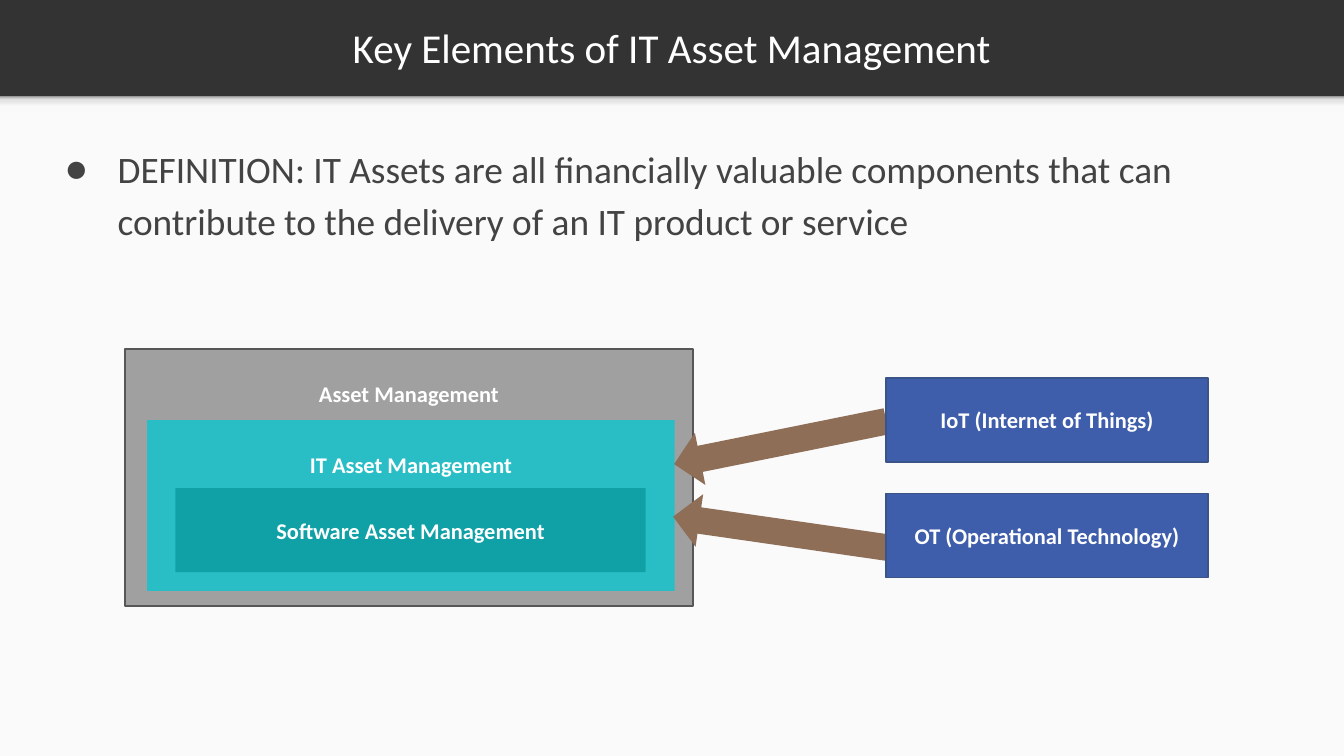
from lxml import etree
from pptx import Presentation
from pptx.dml.color import RGBColor
from pptx.enum.shapes import MSO_SHAPE
from pptx.enum.text import MSO_ANCHOR, MSO_AUTO_SIZE, PP_ALIGN
from pptx.oxml.ns import qn
from pptx.util import Emu, Inches, Pt

RECTANGLE = MSO_SHAPE.RECTANGLE
LEFT_ARROW = MSO_SHAPE.LEFT_ARROW
TOP, MIDDLE = MSO_ANCHOR.TOP, MSO_ANCHOR.MIDDLE
LEFT, CENTER = PP_ALIGN.LEFT, PP_ALIGN.CENTER
NO_AUTOFIT = MSO_AUTO_SIZE.NONE

SLIDE_HEIGHT = Emu(10282238)
FONT = "Calibri"
COLORS = {
    "header": "333333",
    "page": "FAFAFA",
    "white": "FFFFFF",
    "body": "434343",
    "asset": "A0A0A0",
    "asset_line": "565656",
    "it_asset": "29BEC6",
    "software": "10A1A6",
    "source": "3E5DAA",
    "source_line": "3A5487",
    "arrow": "8E6E56",
}
SHADE_STOPS = [(0, "F9F9F9"), (36, "F9F9F9"), (80, "DEDEDE"), (100, "999999")]


def rgb(name):
    """Return the named colour."""
    return RGBColor.from_string(COLORS[name])


def add_block(slide, box, fill, line=None, kind=RECTANGLE):
    """Add a flat shape in box (left, top, width, height in inches)."""
    block = slide.shapes.add_shape(kind, *map(Inches, box))
    block.shadow.inherit = False
    block.fill.solid()
    block.fill.fore_color.rgb = rgb(fill)
    if line:
        block.line.color.rgb = rgb(line)
        block.line.width = Pt(2)
    else:
        block.line.fill.background()
    return block


def write(frame, text, size, color, align=CENTER, bold=False):
    """Write one formatted run and return its paragraph."""
    paragraph = frame.paragraphs[0]
    paragraph.alignment = align
    run = paragraph.add_run()
    run.text = text
    run.font.name = FONT
    run.font.size = Pt(size)
    run.font.bold = bold
    run.font.color.rgb = rgb(color)
    return paragraph


def set_insets(frame, inset):
    """Give a text frame the same inset on all sides."""
    frame.margin_left = frame.margin_right = Inches(inset)
    frame.margin_top = frame.margin_bottom = Inches(inset)


def add_label_box(slide, box, text, fill, line=None, top_inset=None):
    """Add a labelled box, centred or with its label below a top inset."""
    frame = add_block(slide, box, fill, line).text_frame
    frame.word_wrap = False
    frame.vertical_anchor = MIDDLE
    if top_inset:
        frame.vertical_anchor = TOP
        frame.margin_top = Inches(top_inset)
    write(frame, text, 24, "white", bold=True)


def add_page(slide, box):
    """Add the light page area with a shade along its top edge."""
    left, top, width, _ = box
    slide.background.fill.solid()
    slide.background.fill.fore_color.rgb = rgb("header")
    add_block(slide, box, "page")
    shade = add_block(slide, (left, top - 0.01, width, 0.24), "page")
    shade.fill.gradient()
    shade.fill.gradient_angle = 90
    stops = shade.fill._fill._gradFill.find(qn("a:gsLst"))
    for stop in list(stops):
        stops.remove(stop)
    for percent, color in SHADE_STOPS:
        stop = etree.SubElement(stops, qn("a:gs"), pos=str(percent * 1000))
        etree.SubElement(stop, qn("a:srgbClr"), val=color)


def add_title(slide, box, text):
    """Place and format the slide title."""
    title = slide.shapes.title
    title.left, title.top, title.width, title.height = map(Inches, box)
    frame = title.text_frame
    frame.auto_size = NO_AUTOFIT
    frame.word_wrap = True
    frame.vertical_anchor = MIDDLE
    set_insets(frame, 0.2)
    write(frame, text, 44, "white")


def add_definition(slide, box, text):
    """Add the bulleted definition."""
    frame = slide.shapes.add_textbox(*map(Inches, box)).text_frame
    frame.word_wrap = True
    set_insets(frame, 0.2)
    paragraph = write(frame, text, 40, "body", align=LEFT)
    paragraph.line_spacing = 1.15
    paragraph.space_after = Pt(16)
    properties = paragraph._p.get_or_add_pPr()
    properties.set("marL", str(Inches(1)))
    properties.set("indent", str(Inches(-0.78)))
    bullet_color = etree.SubElement(properties, qn("a:buClr"))
    etree.SubElement(bullet_color, qn("a:srgbClr"), val=COLORS["body"])
    etree.SubElement(properties, qn("a:buFont"), typeface=FONT)
    etree.SubElement(properties, qn("a:buChar"), char="●")


def add_nested_assets(slide, box):
    """Add the three nested asset management boxes."""
    left, top, _, _ = box
    add_label_box(slide, box, "Asset Management", "asset", "asset_line", 0.46)
    add_label_box(slide, (left + 0.33, top + 1.06, 7.85, 2.54),
                  "IT Asset Management", "it_asset", top_inset=0.46)
    add_label_box(slide, (left + 0.75, top + 2.07, 7, 1.25),
                  "Software Asset Management", "software")


def add_sources(slide, box):
    """Add the technology boxes and the block arrows leading from them."""
    left, top, width, height = box
    box_width, box_height = 4.8, 1.25
    sources = [
        ("IoT (Internet of Things)", 0.57, -11.4),
        ("OT (Operational Technology)", 1.9, 8.2),
    ]
    step = height - box_height
    for row, (label, arrow_offset, angle) in enumerate(sources):
        arrow = add_block(slide, (left, top + arrow_offset, 3.22, 0.79),
                          "arrow", kind=LEFT_ARROW)
        arrow.rotation = angle
        source_box = (left + width - box_width, top + row * step,
                      box_width, box_height)
        add_label_box(slide, source_box, label, "source", "source_line")


def main():
    """Build and save the slide."""
    deck = Presentation()
    deck.slide_width, deck.slide_height = Inches(20), SLIDE_HEIGHT
    slide = deck.slides.add_slide(deck.slide_layouts[5])
    add_page(slide, (0, 1.44, 20, 9.81))
    add_title(slide, (0.23, 0.04, 19.54, 1.32),
              "Key Elements of IT Asset Management")
    add_definition(slide, (0.55, 1.88, 19.12, 8.95),
                   "DEFINITION: IT Assets are all financially valuable "
                   "components that can contribute to the delivery of an "
                   "IT product or service")
    add_nested_assets(slide, (1.86, 5.19, 8.45, 3.83))
    add_sources(slide, (10, 5.62, 7.98, 2.97))
    deck.save("out.pptx")


if __name__ == "__main__":
    main()
